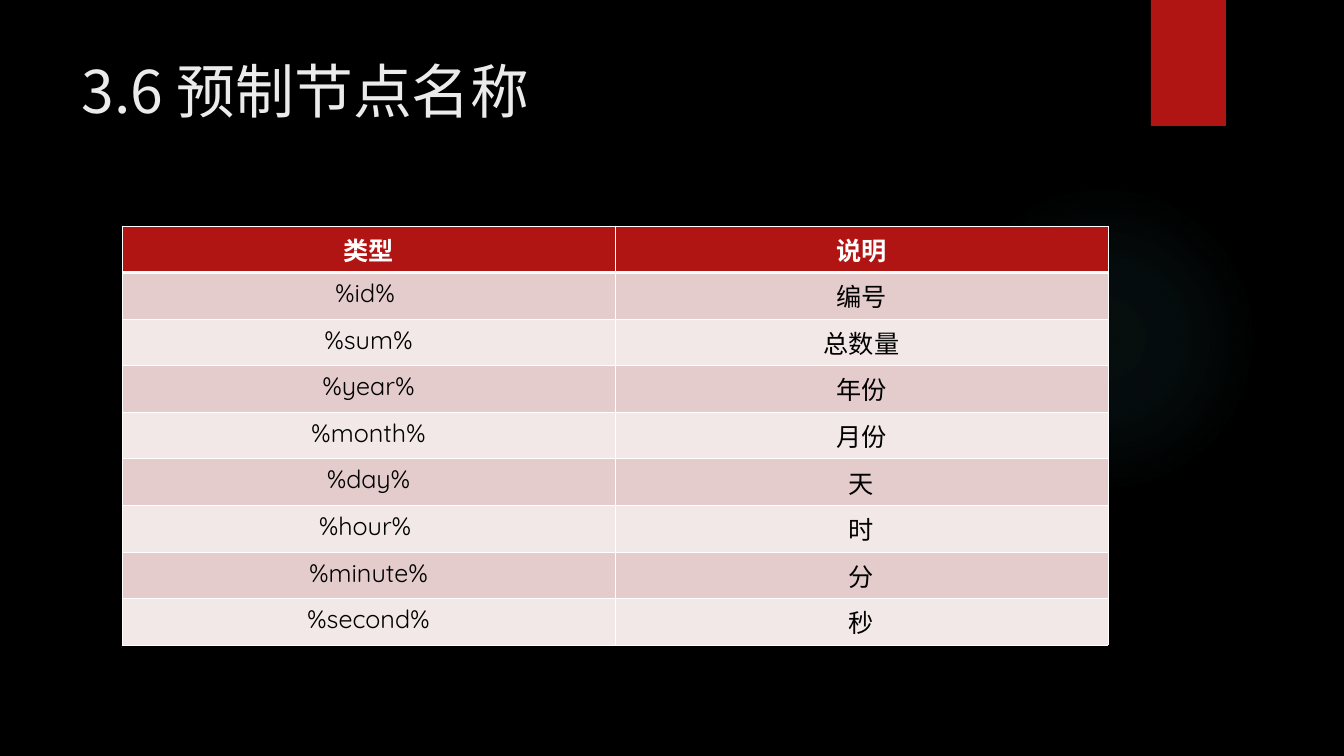
from lxml.etree import SubElement
from pptx import Presentation
from pptx.dml.color import RGBColor
from pptx.enum.shapes import MSO_SHAPE as Shape
from pptx.enum.text import MSO_ANCHOR as Anchor, PP_ALIGN as Align
from pptx.oxml import parse_xml
from pptx.oxml.ns import nsdecls, qn
from pptx.util import Emu, Pt

CJK_FONT = "Noto Sans CJK SC"
TABLE_FONT = "Quicksand"
RED = "B01513"
WHITE = "FFFFFF"
BANDS = ("E4CCCC", "F2E8E7")
GLOW_STOPS = ((0, 7), (36, 6), (69, 0))
THIN, THICK = 0.5, 3
NODE_NAMES = [
    ("类型", "说明"),
    ("%id% ", "编号"),
    ("%sum%", "总数量"),
    ("%year%", "年份"),
    ("%month%", "月份"),
    ("%day%", "天"),
    ("%hour% ", "时"),
    ("%minute%", "分"),
    ("%second%", "秒"),
]


def px(length):
    return Emu(round(length * 914400 / 100.8))


def color(value):
    return RGBColor.from_string(value)


def fill_solid(fill, value):
    fill.solid()
    fill.fore_color.rgb = color(value)


def write_text(frame, text, *, size, font, fill, bold=False, align=Align.LEFT):
    paragraph = frame.paragraphs[0]
    paragraph.alignment = align
    run = paragraph.add_run()
    run.text = text
    run.font.size = Pt(size)
    run.font.name = font
    run.font.bold = bold
    run.font.color.rgb = color(fill)
    SubElement(run.font._element, qn("a:ea"), typeface=CJK_FONT)


def add_block(slide, kind, left, top, width, height):
    shape = slide.shapes.add_shape(kind, px(left), px(top), px(width), px(height))
    shape.shadow.inherit = False
    shape.line.fill.background()
    return shape


def add_glow(slide):
    shape = add_block(slide, Shape.OVAL, 949, 184, 310, 310)
    stops = "".join(
        f'<a:gs pos="{position * 1000}"><a:srgbClr val="50B9C1">'
        f'<a:alpha val="{alpha * 1000}"/></a:srgbClr></a:gs>'
        for position, alpha in GLOW_STOPS
    )
    gradient = parse_xml(
        f'<a:gradFill {nsdecls("a")}><a:gsLst>{stops}</a:gsLst><a:path path="circle">'
        '<a:fillToRect l="50000" t="50000" r="50000" b="50000"/></a:path></a:gradFill>'
    )
    shape._element.spPr.find(qn("a:prstGeom")).addnext(gradient)


def add_ribbon(slide):
    shape = add_block(slide, Shape.RECTANGLE, 1151, 0, 75, 126)
    fill_solid(shape.fill, RED)
    effects = shape._element.spPr.find(qn("a:effectLst"))
    effects.append(parse_xml(
        f'<a:outerShdw {nsdecls("a")} blurRad="{Pt(3)}" dist="{Pt(2)}" dir="5400000">'
        '<a:srgbClr val="000000"><a:alpha val="45000"/></a:srgbClr></a:outerShdw>'
    ))


def add_title(slide, text):
    box = slide.shapes.add_textbox(px(72), px(50), px(1037), px(154))
    box.text_frame.word_wrap = True
    box.text_frame.vertical_anchor = Anchor.TOP
    write_text(box.text_frame, text, size=42, font=CJK_FONT, fill="EBEBEB")


def set_borders(cell, top, bottom):
    properties = cell._tc.get_or_add_tcPr()
    for side, width in (("L", THIN), ("R", THIN), ("T", top), ("B", bottom)):
        line = SubElement(properties, qn(f"a:ln{side}"), w=str(Pt(width)))
        solid = SubElement(line, qn("a:solidFill"))
        SubElement(solid, qn("a:srgbClr"), val=WHITE)


def add_name_table(slide, rows):
    frame = slide.shapes.add_table(len(rows), 2, px(122), px(226), px(986), px(419))
    table = frame.table
    for index, values in enumerate(rows):
        header = index == 0
        for cell, text in zip(table.rows[index].cells, values):
            set_borders(cell, THICK if index == 1 else THIN, THICK if header else THIN)
            fill_solid(cell.fill, RED if header else BANDS[(index - 1) % 2])
            write_text(cell.text_frame, text, size=18, font=TABLE_FONT, bold=header,
                       fill=WHITE if header else "000000", align=Align.CENTER)


def main():
    presentation = Presentation()
    presentation.slide_width = px(1344)
    presentation.slide_height = px(756)
    slide = presentation.slides.add_slide(presentation.slide_layouts[6])
    fill_solid(slide.background.fill, "000000")
    add_glow(slide)
    add_ribbon(slide)
    add_title(slide, "3.6 预制节点名称")
    add_name_table(slide, NODE_NAMES)
    presentation.save("out.pptx")


if __name__ == "__main__":
    main()
